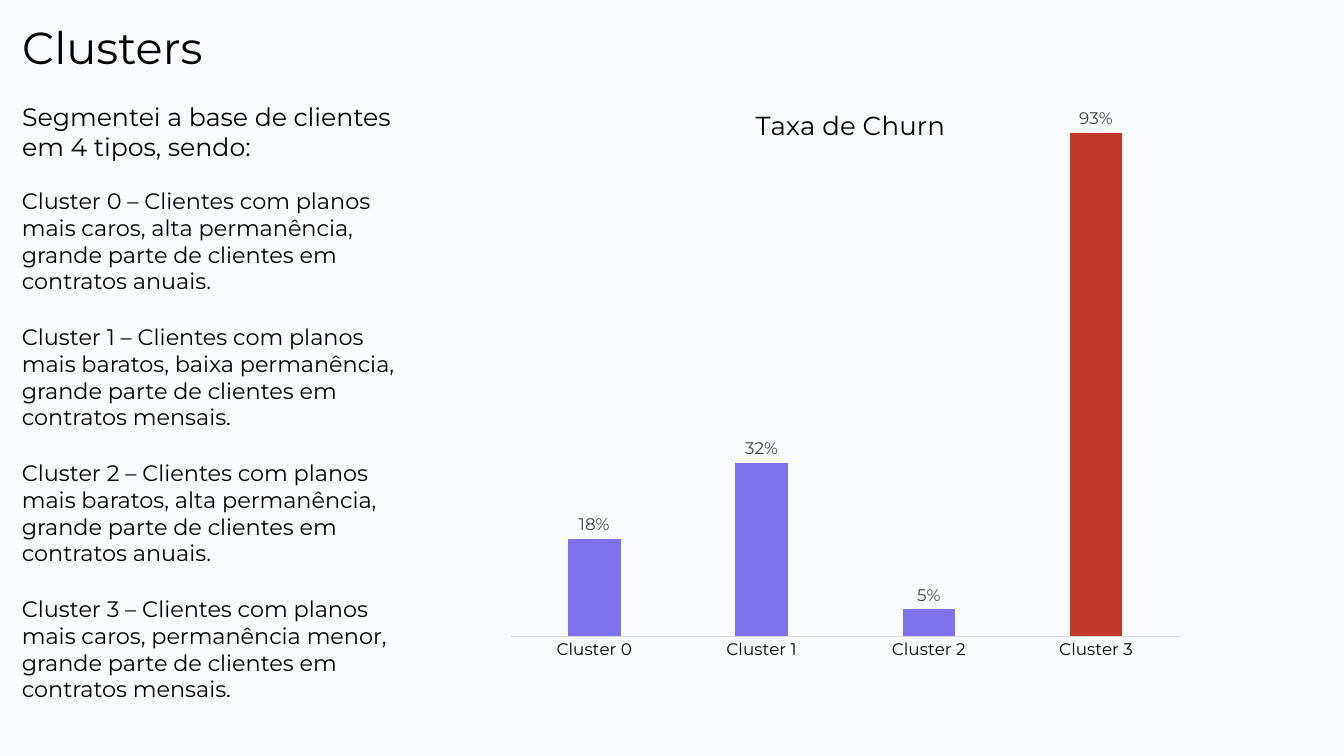
"""Build the customer clusters slide with its churn rate chart."""
from dataclasses import dataclass

from lxml import etree
from pptx import Presentation
from pptx.chart.data import CategoryChartData
from pptx.dml.color import RGBColor
from pptx.enum.chart import XL_CHART_TYPE, XL_LABEL_POSITION, XL_TICK_MARK
from pptx.enum.text import MSO_ANCHOR, MSO_AUTO_SIZE, PP_ALIGN
from pptx.oxml.ns import qn
from pptx.util import Pt

COLUMN = XL_CHART_TYPE.COLUMN_CLUSTERED
OUTSIDE_END = XL_LABEL_POSITION.OUTSIDE_END
NO_TICK = XL_TICK_MARK.NONE
TOP = MSO_ANCHOR.TOP
NO_FIT = MSO_AUTO_SIZE.NONE
LEFT = PP_ALIGN.LEFT

TITLE = "Clusters"
INTRO = "Segmentei a base de clientes em 4 tipos, sendo:"
CLUSTERS = [
    ("Cluster 0", 0.18, "Clientes com planos mais caros, alta permanência, grande parte de clientes em contratos anuais."),
    ("Cluster 1", 0.32, "Clientes com planos mais baratos, baixa permanência, grande parte de clientes em contratos mensais."),
    ("Cluster 2", 0.05, "Clientes com planos mais baratos, alta permanência, grande parte de clientes em contratos anuais."),
    ("Cluster 3", 0.93, "Clientes com planos mais caros, permanência menor, grande parte de clientes em contratos mensais."),
]
CHART_TITLE = "Taxa de Churn"


@dataclass(frozen=True)
class Theme:
    font: str = "Montserrat"
    background: RGBColor = RGBColor(0xF9, 0xFA, 0xFB)
    text: RGBColor = RGBColor(0, 0, 0)
    label: RGBColor = RGBColor(0x40, 0x40, 0x40)
    axis: RGBColor = RGBColor(0xD9, 0xD9, 0xD9)
    bar: RGBColor = RGBColor(0x7F, 0x71, 0xE9)
    highlight: RGBColor = RGBColor(0xC0, 0x39, 0x2B)
    title_size: float = 32
    intro_size: float = 18
    body_size: float = 16
    chart_title_size: float = 18.6
    chart_size: float = 12


THEME = Theme()
EMU_PER_PX = 9071
SLIDE_SIZE = (1344, 756)
TITLE_AREA = (12, 15, 223, 65)
INTRO_AREA = (12, 96, 391, 72)
CLUSTER_AREA = (12, 182, 400, 119)
CLUSTER_PITCH = 136
CHART_AREA = (501, 79, 694, 598)
PLOT_LAYOUT = {"layoutTarget": "inner", "xMode": "edge", "yMode": "edge",
               "x": 0.014, "y": 0.027, "w": 0.964, "h": 0.905}
TITLE_LAYOUT = {"xMode": "edge", "yMode": "edge", "x": 0.36, "y": 0.04}


def emu(lengths):
    return [length * EMU_PER_PX for length in lengths]


def style_font(font, size, color=THEME.text):
    font.name = THEME.font
    font.size = Pt(size)
    font.bold = False
    font.color.rgb = color


def write_text(box, area, text, size):
    box.left, box.top, box.width, box.height = emu(area)
    frame = box.text_frame
    frame.word_wrap = True
    frame.auto_size = NO_FIT
    frame.vertical_anchor = TOP
    para = frame.paragraphs[0]
    para.text = text
    para.alignment = LEFT
    para.line_spacing = 1.0
    para.space_before = Pt(0)
    style_font(para.font, size)
    return para


def remove_bullet(para):
    properties = para._p.get_or_add_pPr()
    properties.set("marL", "0")
    properties.set("indent", "0")
    properties.insert_element_before(
        properties.makeelement(qn("a:buNone")), "a:tabLst", "a:defRPr", "a:extLst")


def set_layout(parent, index, values):
    layout = parent.find(qn("c:layout"))
    if layout is None:
        layout = parent.makeelement(qn("c:layout"))
        parent.insert(index, layout)
    manual = etree.SubElement(layout, qn("c:manualLayout"))
    for name, value in values.items():
        etree.SubElement(manual, qn(f"c:{name}")).set("val", str(value))


def add_churn_chart(slide):
    data = CategoryChartData(number_format="0%")
    data.categories = [name for name, _, _ in CLUSTERS]
    rates = [rate for _, rate, _ in CLUSTERS]
    data.add_series(CHART_TITLE, rates)
    chart = slide.shapes.add_chart(COLUMN, *emu(CHART_AREA), data).chart
    style_font(chart.font, THEME.chart_size)
    chart.has_legend = False

    chart.has_title = True
    para = chart.chart_title.text_frame.paragraphs[0]
    para.text = CHART_TITLE
    style_font(para.font, THEME.chart_title_size)
    title = chart.chart_title._element
    set_layout(title, 1, TITLE_LAYOUT)
    title.find(qn("c:overlay")).set("val", "1")
    set_layout(chart._chartSpace.chart.plotArea, 0, PLOT_LAYOUT)

    values = chart.value_axis
    values.minimum_scale, values.maximum_scale = 0, 1
    values.has_major_gridlines = False
    values.visible = False
    categories = chart.category_axis
    categories.major_tick_mark = NO_TICK
    categories.format.line.color.rgb = THEME.axis
    categories.format.line.width = Pt(0.75)
    style_font(categories.tick_labels.font, THEME.chart_size)

    plot = chart.plots[0]
    plot.gap_width = 219
    plot.overlap = -27
    plot.vary_by_categories = False
    series = plot.series[0]
    highest = series.points[rates.index(max(rates))]
    for bar, color in ((series, THEME.bar), (highest, THEME.highlight)):
        bar.format.fill.solid()
        bar.format.fill.fore_color.rgb = color
    labels = series.data_labels
    labels.show_value = True
    labels.position = OUTSIDE_END
    labels.number_format = "0%"
    labels.number_format_is_linked = False
    style_font(labels.font, THEME.chart_size, THEME.label)


def main():
    deck = Presentation()
    deck.slide_width, deck.slide_height = emu(SLIDE_SIZE)
    slide = deck.slides.add_slide(deck.slide_layouts[1])
    slide.background.fill.solid()
    slide.background.fill.fore_color.rgb = THEME.background

    write_text(slide.shapes.title, TITLE_AREA, TITLE, THEME.title_size)
    remove_bullet(write_text(slide.placeholders[1], INTRO_AREA, INTRO, THEME.intro_size))
    left, top, width, height = CLUSTER_AREA
    for row, (name, _, profile) in enumerate(CLUSTERS):
        area = (left, top + row * CLUSTER_PITCH, width, height)
        box = slide.shapes.add_textbox(*emu(area))
        write_text(box, area, f"{name} – {profile}", THEME.body_size)
    add_churn_chart(slide)
    deck.save("out.pptx")


if __name__ == "__main__":
    main()
